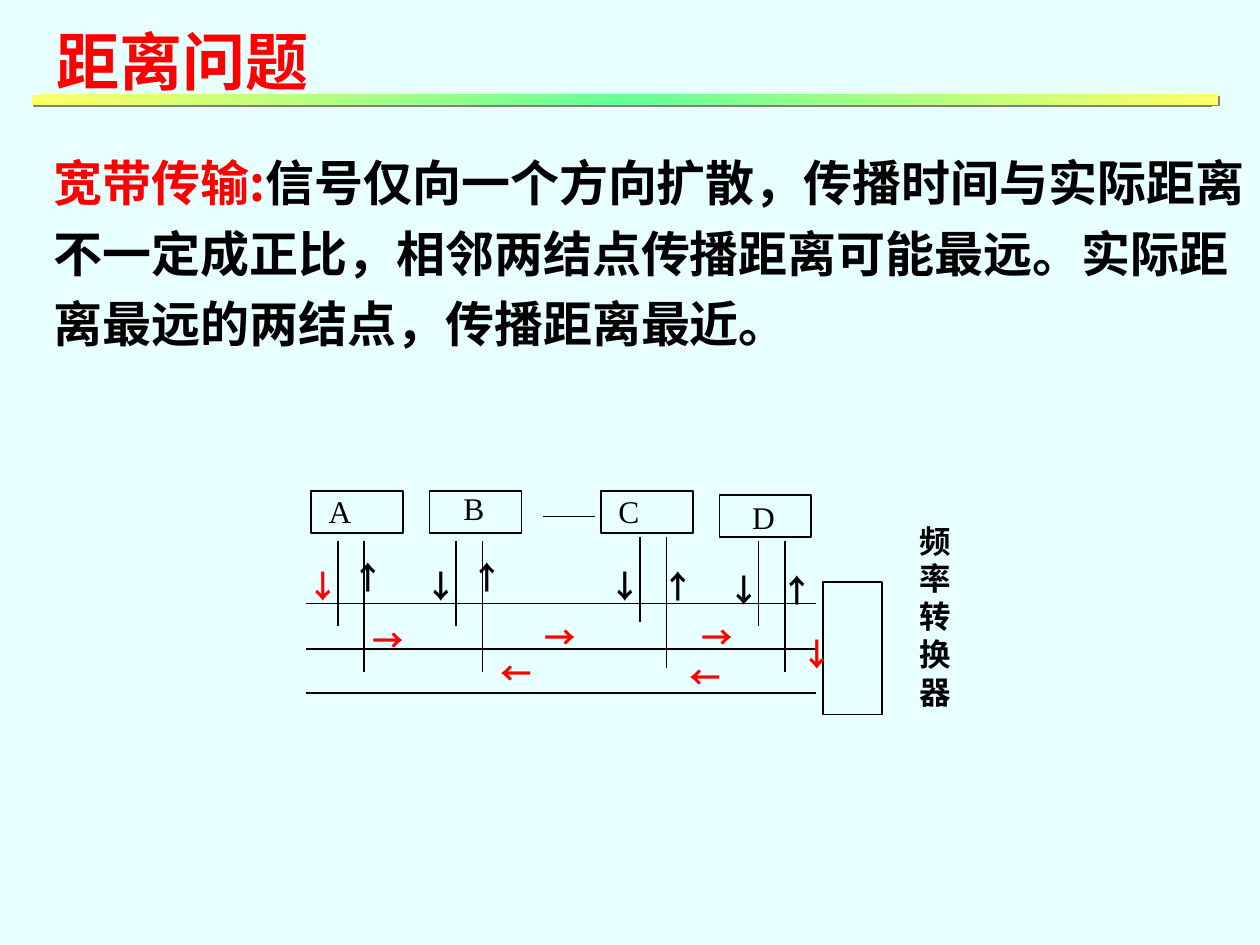
from dataclasses import dataclass

from lxml.etree import SubElement
from pptx import Presentation
from pptx.dml.color import RGBColor
from pptx.enum.shapes import MSO_CONNECTOR, MSO_SHAPE
from pptx.enum.text import MSO_ANCHOR, MSO_AUTO_SIZE, PP_ALIGN
from pptx.oxml import parse_xml
from pptx.oxml.ns import nsdecls, qn
from pptx.util import Emu, Pt

PX = 9144  # EMU per px, 100 px to the inch


@dataclass(frozen=True)
class Theme:
    background: str = "E7FFFF"
    ink: str = "000000"
    accent: str = "FF0000"
    bar_edge: str = "FFFF66"
    bar_middle: str = "66FF99"
    bar_shadow: str = "808080"
    sans: str = "Noto Sans CJK SC"
    serif: str = "Times New Roman"
    title_size: int = 36
    body_size: int = 28
    label_size: int = 18
    body_leading: float = 40.3
    label_leading: float = 21.6


def px(*lengths):
    return [Emu(length * PX) for length in lengths]


class SlideBuilder:
    def __init__(self, presentation, theme):
        self.theme = theme
        self.slide = presentation.slides.add_slide(presentation.slide_layouts[5])
        self.shapes = self.slide.shapes
        background = self.slide.background.fill
        background.solid()
        background.fore_color.rgb = RGBColor.from_string(theme.background)

    def begin_group(self):
        self.shapes = self.slide.shapes.add_group_shape().shapes

    def end_group(self):
        self.shapes = self.slide.shapes

    def format_run(self, run, size, color, font=None, bold=True):
        name = font or self.theme.sans
        run.font.size = Pt(size)
        run.font.bold = bold
        run.font.color.rgb = RGBColor.from_string(color)
        run.font.name = name
        SubElement(run.font._element, qn("a:ea")).set("typeface", name)

    def title(self, text, left, top, width, height):
        title = self.slide.shapes.title
        title.left, title.top, title.width, title.height = px(left, top, width, height)
        frame = title.text_frame
        frame.text = text
        frame.auto_size = MSO_AUTO_SIZE.NONE
        frame.vertical_anchor = MSO_ANCHOR.TOP
        paragraph = frame.paragraphs[0]
        paragraph.alignment = PP_ALIGN.LEFT
        self.format_run(paragraph.runs[0], self.theme.title_size, self.theme.accent)

    def label(self, text, left, top, width=41, height=40, color=None, font=None,
              bold=True, leading=None):
        box = self.shapes.add_textbox(*px(left, top, width, height))
        frame = box.text_frame
        frame.text = text
        frame.word_wrap = False
        for paragraph in frame.paragraphs:
            if leading:
                paragraph.line_spacing = Pt(leading)
            self.format_run(paragraph.runs[0], self.theme.label_size,
                            color or self.theme.ink, font, bold)

    def body(self, parts, left, top, width, height):
        """Add one wrapped paragraph made of (text, color) parts."""
        frame = self.shapes.add_textbox(*px(left, top, width, height)).text_frame
        frame.word_wrap = True
        paragraph = frame.paragraphs[0]
        paragraph.line_spacing = Pt(self.theme.body_leading)
        for text, color in parts:
            run = paragraph.add_run()
            run.text = text
            self.format_run(run, self.theme.body_size, color)

    def box(self, left, top, width, height):
        shape = self.shapes.add_shape(MSO_SHAPE.RECTANGLE, *px(left, top, width, height))
        shape.shadow.inherit = False
        shape.fill.background()
        shape.line.color.rgb = RGBColor.from_string(self.theme.ink)
        shape.line.width = Pt(1)

    def line(self, x1, y1, x2, y2, weight=1):
        connector = self.shapes.add_connector(MSO_CONNECTOR.STRAIGHT, *px(x1, y1, x2, y2))
        connector.line.color.rgb = RGBColor.from_string(self.theme.ink)
        connector.line.width = Pt(weight)
        SubElement(connector._element.spPr, qn("a:effectLst"))

    def gradient_bar(self, left, top, width, height):
        bar = self.shapes.add_shape(MSO_SHAPE.RECTANGLE, *px(left, top, width, height))
        bar.line.fill.background()
        theme = self.theme
        stops = [(0, theme.bar_edge), (50, theme.bar_middle), (100, theme.bar_edge)]
        stop_xml = "".join(
            f'<a:gs pos="{position * 1000}"><a:srgbClr val="{color}"/></a:gs>'
            for position, color in stops)
        gradient = parse_xml(
            f'<a:gradFill {nsdecls("a")} rotWithShape="1"><a:gsLst>{stop_xml}</a:gsLst>'
            f'<a:lin ang="{225 * 60000}" scaled="1"/></a:gradFill>')
        shadow = parse_xml(
            f'<a:effectLst {nsdecls("a")}><a:outerShdw dist="{Pt(1.4)}" '
            f'dir="{45 * 60000}" algn="ctr" rotWithShape="0">'
            f'<a:srgbClr val="{theme.bar_shadow}"/></a:outerShdw></a:effectLst>')
        properties = bar._element.spPr
        properties.find(qn("a:prstGeom")).addnext(gradient)
        properties.append(shadow)

    def station(self, name, box, name_at, tap, down, up, down_color):
        """Add a named station with its two taps and their arrows."""
        self.box(*box, 73, 33)
        tap_left, tap_top = tap
        self.line(tap_left, tap_top, tap_left, tap_top + 68)
        self.line(tap_left + 21, tap_top, tap_left + 21, tap_top + 104)
        self.label("↓", *down, color=down_color)
        self.label("↑", *up)
        self.label(name, *name_at, width=38, font=self.theme.serif, bold=False)


def main():
    theme = Theme()
    presentation = Presentation()
    presentation.slide_width, presentation.slide_height = px(1000, 750)
    builder = SlideBuilder(presentation, theme)
    builder.title("距离问题", 35, 13, 900, 95)

    builder.begin_group()
    for cable_y in (479, 515, 550):
        builder.line(243, cable_y, 648, cable_y)
    builder.box(653, 462, 47, 105)
    builder.label("频\n率\n转\n换\n器", 720, 409, 45, 160, leading=theme.label_leading)

    stations = [
        # name, box, name position, tap, down arrow, up arrow, down color
        ("A", (247, 390), (251, 386), (268, 429), (234, 445), (270, 438), theme.accent),
        ("B", (341, 390), (358, 383), (362, 429), (328, 445), (364, 438), theme.ink),
        ("C", (477, 390), (481, 386), (508, 426), (474, 445), (516, 445), theme.ink),
        ("D", (571, 393), (587, 390), (602, 429), (568, 448), (610, 448), theme.ink),
    ]
    for station in stations:
        builder.station(*station)
    builder.line(431, 410, 472, 410, weight=0.75)

    signal_arrows = [
        ("→", 286, 488), ("→", 422, 486), ("→", 547, 486),
        ("←", 387, 514), ("←", 537, 517), ("↓", 626, 499),
    ]
    for arrow, left, top in signal_arrows:
        builder.label(arrow, left, top, color=theme.accent)
    builder.end_group()

    builder.body([
        ("宽带传输:", theme.accent),
        ("信号仅向一个方向扩散，传播时间与实际距离不一定成正比，相邻两结点传播距离"
         "可能最远。实际距离最远的两结点，传播距离最近。", theme.ink),
    ], 33, 107, 967, 178)
    builder.gradient_bar(25, 75, 942, 8)
    presentation.save("out.pptx")


if __name__ == "__main__":
    main()
